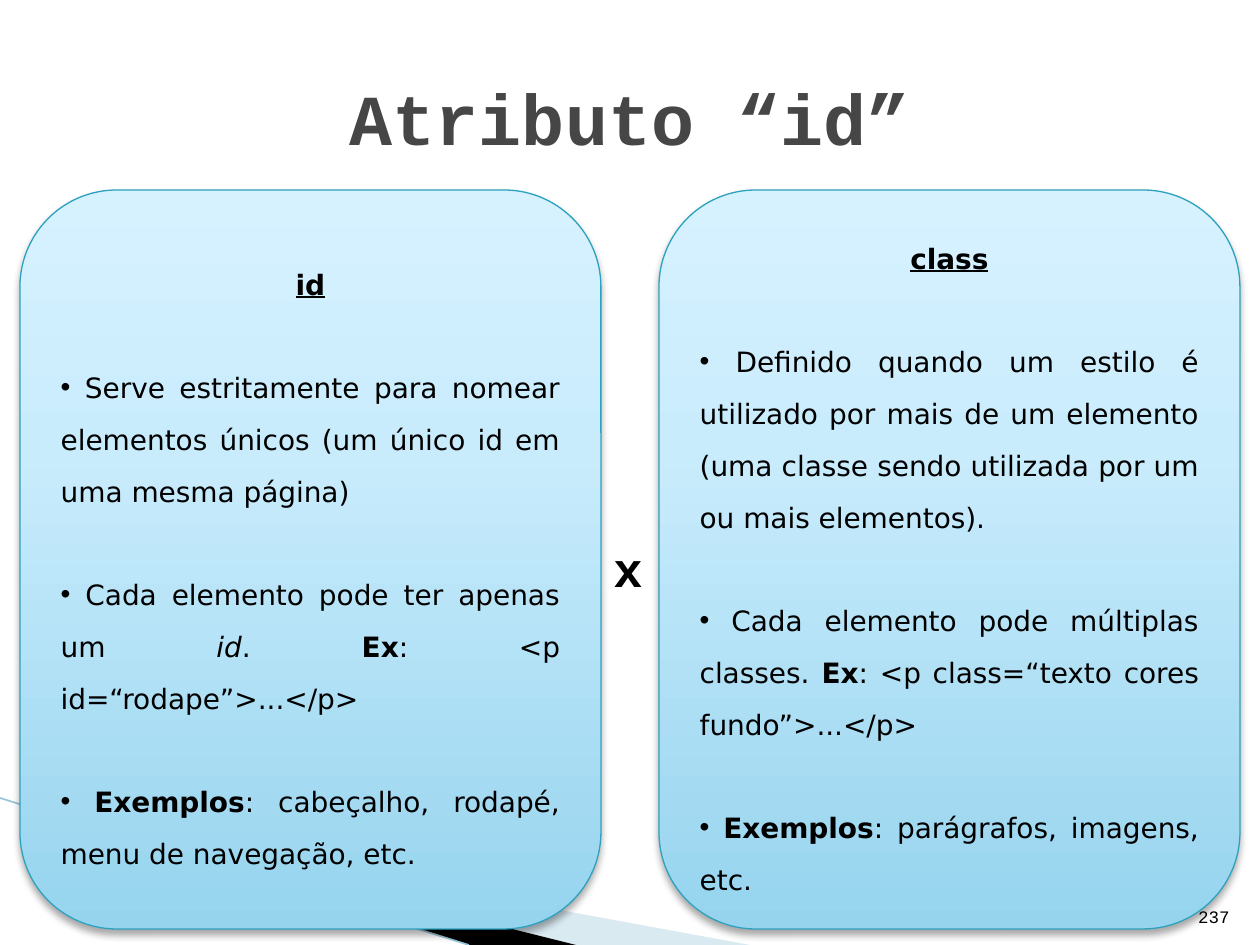
from copy import deepcopy
from lxml.etree import SubElement
from pptx import Presentation
from pptx.dml.color import RGBColor
from pptx.enum.shapes import MSO_CONNECTOR, MSO_SHAPE
from pptx.enum.text import MSO_ANCHOR, PP_ALIGN
from pptx.oxml.ns import qn
from pptx.util import Pt

PX = 9144000 / 1260
THEME = {
    "ink": "000000", "head": "464646", "edge": "2DA2BF",
    "pale": "A0CBDC", "rule": "97C5D8",
    "grad": [(0, "96D4EE"), (0.65, "C9ECFC"), (1, "D7F2FF")],
    "mono": "Courier New", "sans": "DejaVu Sans",
    "title": 41, "body": 16, "mark": 28, "foot": 10,
}
STYLES = {"": {}, "b": {"bold": True}, "i": {"italic": True},
          "u": {"bold": True, "underline": True}}


def px(*nums):
    return [round(n * PX) for n in nums]


def write(para, text, face, size, tint="ink", style=""):
    """Add one run to a paragraph in the given theme font, size and colour."""
    run = para.add_run()
    run.text = text
    form = {"name": THEME[face], "size": Pt(THEME[size]), **STYLES[style]}
    for key, value in form.items():
        setattr(run.font, key, value)
    run.font.color.rgb = RGBColor.from_string(THEME[tint])


deck = Presentation()
deck.slide_width, deck.slide_height = px(1260, 945)
slide = deck.slides.add_slide(deck.slide_layouts[6])
shapes = slide.shapes

# Corner wedges and rule
wedges = [
    ([(69, 820), (750, 945), (575, 945)], "pale", 40),
    ([(67, 818), (576, 945), (469, 945)], "ink", 100),
]
for points, tint, alpha in wedges:
    build = shapes.build_freeform(*points[0], scale=PX)
    build.add_line_segments(points[1:], close=True)
    wedge = build.convert_to_shape()
    wedge.shadow.inherit = False
    wedge.line.fill.background()
    wedge.fill.solid()
    wedge.fill.fore_color.rgb = RGBColor.from_string(THEME[tint])
    color = wedge._element.spPr.find(qn("a:solidFill"))[0]
    SubElement(color, qn("a:alpha"), val=str(alpha * 1000))

rule = shapes.add_connector(MSO_CONNECTOR.STRAIGHT, *px(0, 798, 469, 945))
rule.line.color.rgb = RGBColor.from_string(THEME["rule"])
rule.line.width = Pt(0.95)
SubElement(rule._element.spPr, qn("a:effectLst"))

# Comparison cards: heading, then bullets made of (text, style) runs
cards = [
    (659, "class", [
        [(" Definido quando um estilo é utilizado por mais de um elemento "
          "(uma classe sendo utilizada por um ou mais elementos).", "")],
        [(" Cada elemento pode múltiplas classes. ", ""), ("Ex", "b"),
         (": <p class=“texto cores fundo”>...</p>", "")],
        [(" ", ""), ("Exemplos", "b"), (": parágrafos, imagens, etc.", "")],
    ]),
    (20, "id", [
        [(" Serve estritamente para nomear elementos únicos "
          "(um único id em uma mesma página)", "")],
        [(" Cada elemento pode ter apenas um ", ""), ("id", "i"), (". ", ""),
         ("Ex", "b"), (": <p id=“rodape”>...</p>", "")],
        [(" ", ""), ("Exemplos", "b"),
         (": cabeçalho, rodapé, menu de navegação, etc.", "")],
    ]),
]
for left, head, items in cards:
    card = shapes.add_shape(MSO_SHAPE.ROUNDED_RECTANGLE,
                            *px(left, 190, 581, 739))
    card.line.color.rgb = RGBColor.from_string(THEME["edge"])
    card.line.width = Pt(0.75)

    card.fill.gradient()
    card.fill.gradient_angle = 90
    stops = card._element.spPr.find(qn("a:gradFill")).find(qn("a:gsLst"))
    stops.append(deepcopy(stops[0]))
    for stop, (place, tint) in zip(card.fill.gradient_stops, THEME["grad"]):
        stop.position = place
        stop.color.rgb = RGBColor.from_string(tint)

    card.shadow.inherit = False
    effects = card._element.spPr.find(qn("a:effectLst"))
    shade = SubElement(effects, qn("a:outerShdw"), blurRad=str(Pt(4)),
                       dist=str(Pt(3)), dir="5400000", rotWithShape="0")
    color = SubElement(shade, qn("a:srgbClr"), val=THEME["ink"])
    SubElement(color, qn("a:alpha"), val="35000")

    frame = card.text_frame
    frame.word_wrap = True
    frame.vertical_anchor = MSO_ANCHOR.MIDDLE
    para = frame.paragraphs[0]
    para.alignment = PP_ALIGN.CENTER
    para.line_spacing = 1.55
    write(para, head, "sans", "body", style="u")
    for item in items:
        para = frame.add_paragraph()
        para.alignment = PP_ALIGN.JUSTIFY
        para.line_spacing = 1.55
        para.space_before = Pt(29)
        props = para._p.get_or_add_pPr()
        SubElement(props, qn("a:buFont"), typeface="Arial")
        SubElement(props, qn("a:buChar"), char="•")
        for text, style in item:
            write(para, text, "sans", "body", style=style)

# Title, versus mark and page number
labels = [
    ((63, 38, 1134, 157), "Atributo “id”", "title", "head", "b",
     PP_ALIGN.CENTER, MSO_ANCHOR.MIDDLE, True),
    ((601, 532, 55, 72), "x", "mark", "ink", "b",
     PP_ALIGN.LEFT, MSO_ANCHOR.TOP, False),
    ((1166, 883, 76, 50), "237", "foot", "ink", "",
     PP_ALIGN.RIGHT, MSO_ANCHOR.BOTTOM, True),
]
for spot, text, size, tint, style, align, anchor, wrap in labels:
    frame = shapes.add_textbox(*px(*spot)).text_frame
    frame.word_wrap = wrap
    frame.vertical_anchor = anchor
    para = frame.paragraphs[0]
    para.alignment = align
    write(para, text, "mono", size, tint, style)

deck.save("out.pptx")
